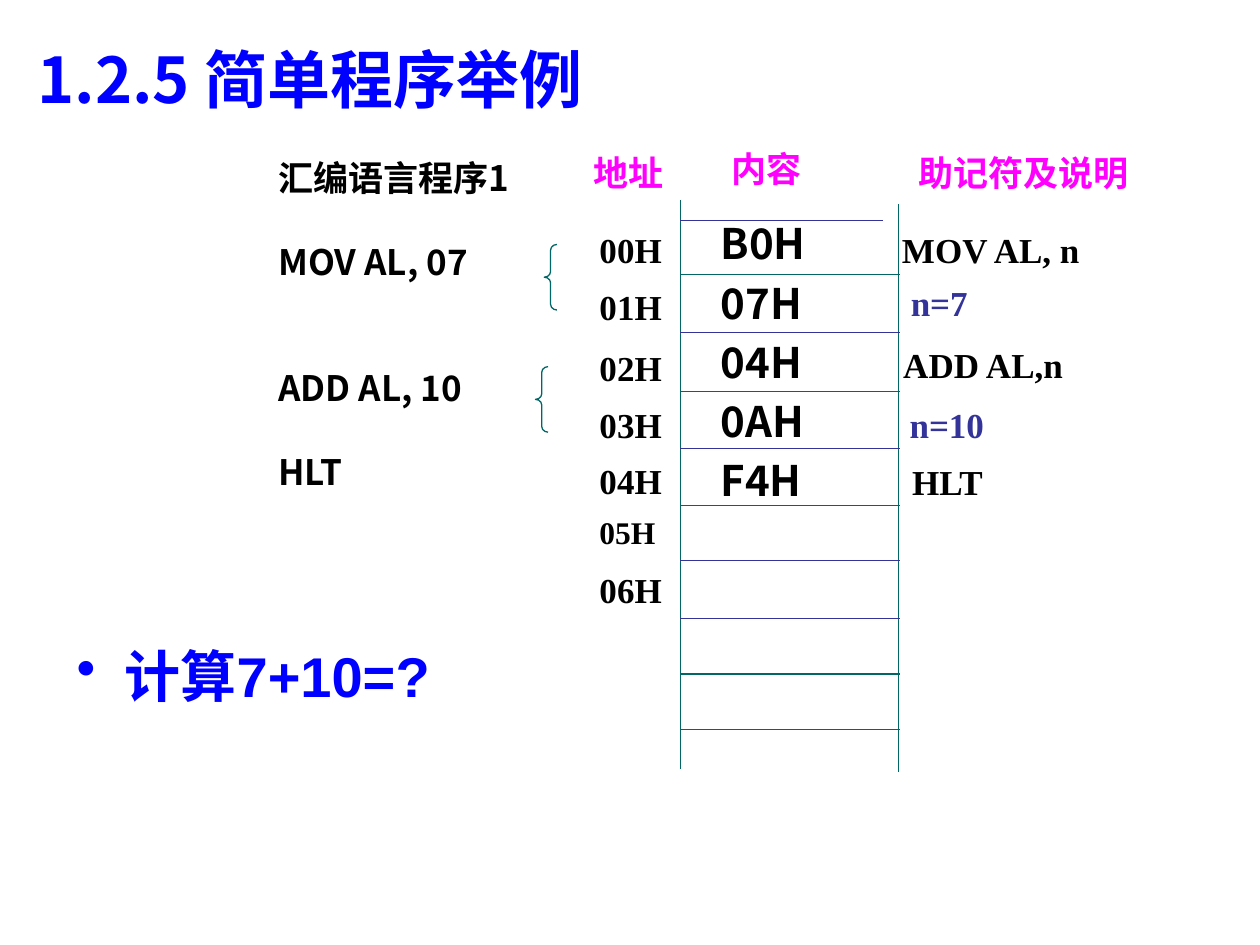
from lxml import etree
from pptx import Presentation, util as u
from pptx.dml.color import RGBColor
from pptx.enum import shapes, text
from pptx.oxml.ns import qn

BLUE = RGBColor(0x00, 0x00, 0xFF)
NAVY = RGBColor(0x33, 0x33, 0x99)
TEAL = RGBColor(0x00, 0x66, 0x66)
PINK = RGBColor(0xFF, 0x00, 0xFF)
BLACK = RGBColor(0x00, 0x00, 0x00)
SANS, SERIF = "Noto Sans CJK SC", "Times New Roman"

TITLE = "1.2.5 简单程序举例"
QUESTION = "计算7+10=?"
PROGRAM = [("汇编语言程序1", 0), ("MOV AL, 07", 24), ("ADD AL, 10", 48), ("HLT", 24)]
HEADINGS = [
    ("地址", 4.61, 1.15, 0.91, SANS),
    ("内容", 5.71, 1.12, 0.95, SANS),
    ("助记符及说明", 7.19, 1.15, 1.94, SERIF),
]
ADDRESSES = [("00H", 1.76, 20), ("01H", 2.21, 20), ("02H", 2.7, 20), ("03H", 3.15, 20),
             ("04H", 3.59, 20), ("05H", 4.02, 18), ("06H", 4.46, 20)]
CONTENTS = ["B0H", "07H", "04H", "0AH", "F4H"]
NOTES = [
    ("MOV AL, n", 7.06, 1.76, BLACK),
    ("n=7", 7.13, 2.18, NAVY),
    ("ADD AL,n", 7.07, 2.67, BLACK),
    ("n=10", 7.12, 3.15, NAVY),
    ("HLT", 7.14, 3.6, BLACK),
]
MEMORY_LEFT, MEMORY_RIGHT = 5.4, 7.14
ROW_LINES = [(2.18, TEAL), (2.64, NAVY), (3.11, TEAL), (3.56, NAVY), (4.01, TEAL),
             (4.45, NAVY), (4.91, NAVY), (5.35, TEAL), (5.79, TEAL)]
BRACES = [(4.32, 1.94), (4.25, 2.91)]
CONTENT_TOP, CONTENT_STEP = 1.68, 0.47

presentation = Presentation()
presentation.slide_width, presentation.slide_height = u.Inches(10), u.Inches(7.5)
slide = presentation.slides.add_slide(presentation.slide_layouts[6])


def add_text(content, left, top, width, height, size=20, font=SERIF, color=BLACK,
             anchor=text.MSO_ANCHOR.MIDDLE, margin_top=0.05, line=None, bullet=None):
    box = slide.shapes.add_textbox(*map(u.Inches, (left, top, width, height)))
    frame = box.text_frame
    frame.word_wrap = True
    frame.vertical_anchor = anchor
    frame.margin_top = u.Inches(margin_top)
    paragraphs = [(content, 0)] if isinstance(content, str) else content
    for index, (words, gap) in enumerate(paragraphs):
        paragraph = frame.add_paragraph() if index else frame.paragraphs[0]
        if bullet:
            properties = paragraph._p.get_or_add_pPr()
            properties.set("marL", str(u.Inches(0.38)))
            properties.set("indent", str(-u.Inches(0.38)))
            etree.SubElement(properties, qn("a:buChar")).set("char", bullet)
        if gap:
            paragraph.space_before = u.Pt(gap)
        if line:
            paragraph.line_spacing = u.Pt(line)
        run = paragraph.add_run()
        run.text = words
        run.font.size, run.font.name, run.font.bold = u.Pt(size), font, True
        run.font.color.rgb = color
        east_asian = etree.SubElement(run._r.get_or_add_rPr(), qn("a:ea"))
        east_asian.set("typeface", SANS)


def add_line(x1, y1, x2, y2, color):
    line = slide.shapes.add_connector(
        shapes.MSO_CONNECTOR.STRAIGHT, *map(u.Inches, (x1, y1, x2, y2)))
    line.line.color.rgb, line.line.width = color, u.Pt(0.75)
    etree.SubElement(line._element.spPr, qn("a:effectLst"))


def add_brace(left, top):
    brace = slide.shapes.add_shape(
        shapes.MSO_SHAPE.LEFT_BRACE, *map(u.Inches, (left, top, 0.1, 0.52)))
    brace.adjustments[0] = 0.45
    brace.shadow.inherit = False
    brace.fill.background()
    brace.line.color.rgb, brace.line.width = TEAL, u.Pt(0.75)


add_line(MEMORY_LEFT, 1.59, MEMORY_LEFT, 6.1, TEAL)
add_line(7.13, 1.62, 7.13, 6.13, TEAL)
add_line(MEMORY_LEFT, 1.75, 7.01, 1.75, NAVY)
for y, color in ROW_LINES:
    add_line(MEMORY_LEFT, y, MEMORY_RIGHT, y, color)

for row, code in enumerate(CONTENTS):
    add_text(code, 5.62, CONTENT_TOP + row * CONTENT_STEP, 1.25, 0.5, size=24, font=SANS)
for note, left, top, color in NOTES:
    add_text(note, left, top, 1.79, 0.44, color=color)
for address, top, size in ADDRESSES:
    add_text(address, 4.66, top, 0.73, 0.44 if size == 20 else 0.4, size=size)
for heading, left, top, width, font in HEADINGS:
    add_text(heading, left, top, width, 0.44, font=font, color=PINK)

add_text(PROGRAM, 2.11, 0.76, 2.56, 3.57, font=SANS, anchor=text.MSO_ANCHOR.TOP,
         margin_top=0.48, line=24)
for left, top in BRACES:
    add_brace(left, top)
add_text(TITLE, 0.2, 0, 9, 1.25, size=36, font=SANS, color=BLUE)
add_text(QUESTION, 0.51, 5.09, 3.23, 1.09, size=32, font="Arial", color=BLUE,
         anchor=text.MSO_ANCHOR.TOP, margin_top=0, bullet="•")

presentation.save("out.pptx")
